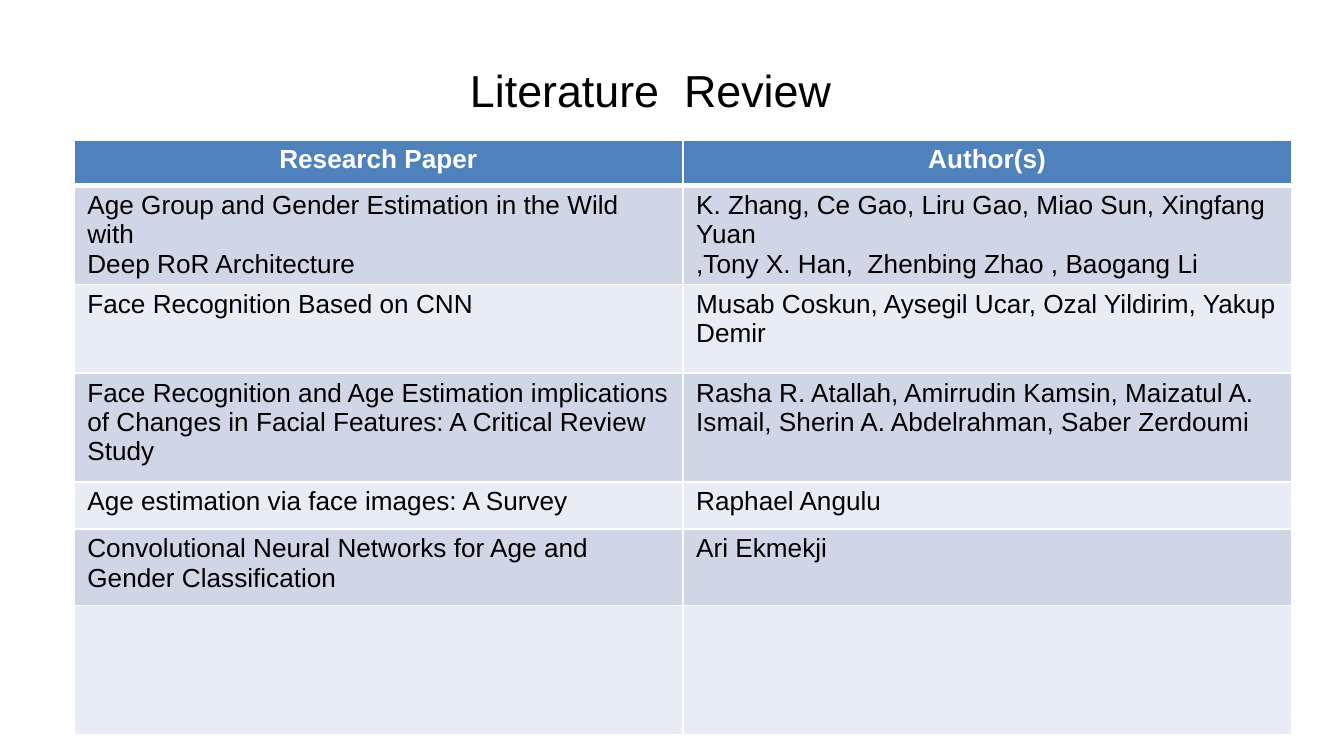
from lxml import etree
from pptx import Presentation
from pptx.dml.color import RGBColor
from pptx.enum.text import MSO_ANCHOR, PP_ALIGN
from pptx.oxml.ns import qn
from pptx.util import Inches, Pt

CENTER = PP_ALIGN.CENTER
LEFT = PP_ALIGN.LEFT
TOP = MSO_ANCHOR.TOP

WIDTH = 10
HEIGHT = WIDTH * 9 / 16
COLORS = {
    "text": "000000",
    "white": "FFFFFF",
    "header": "4F81BD",
    "band_dark": "CFD7E7",
    "band_light": "E8ECF4",
}
PAPERS = [
    ("Research Paper", "Author(s)"),
    (
        "Age Group and Gender Estimation in the Wild with\nDeep RoR Architecture",
        "K. Zhang, Ce Gao, Liru Gao, Miao Sun, Xingfang Yuan\n"
        ",Tony X. Han,  Zhenbing Zhao , Baogang Li",
    ),
    (
        "Face Recognition Based on CNN",
        "Musab Coskun, Aysegil Ucar, Ozal Yildirim, Yakup Demir",
    ),
    (
        "Face Recognition and Age Estimation implications of Changes in "
        "Facial Features: A Critical Review Study",
        "Rasha R. Atallah, Amirrudin Kamsin, Maizatul A. Ismail, "
        "Sherin A. Abdelrahman, Saber Zerdoumi",
    ),
    ("Age estimation via face images: A Survey", "Raphael Angulu"),
    (
        "Convolutional Neural Networks for Age and Gender Classification",
        "Ari Ekmekji",
    ),
    ("", ""),
]
ROW_HEIGHTS = [0.34, 0.63, 0.66, 0.81, 0.35, 0.57, 0.96]


class SlideBuilder:
    def __init__(self, slide, font="Arial"):
        self.slide = slide
        self.font = font

    def color(self, name):
        return RGBColor.from_string(COLORS[name])

    def box(self, left, top, width, height):
        return (
            Inches(left * WIDTH),
            Inches(top * HEIGHT),
            Inches(width * WIDTH),
            Inches(height * HEIGHT),
        )

    def style(self, text_frame, size, color, align, bold=False):
        for paragraph in text_frame.paragraphs:
            paragraph.alignment = align
            paragraph.font.size = Pt(size)
            for run in paragraph.runs:
                run.font.name = self.font
                run.font.size = Pt(size)
                run.font.bold = bold
                run.font.color.rgb = self.color(color)

    def title(self, text, left, top, width, height):
        shape = self.slide.shapes.add_textbox(*self.box(left, top, width, height))
        text_frame = shape.text_frame
        text_frame.word_wrap = True
        text_frame.vertical_anchor = TOP
        text_frame.text = text
        text_frame.paragraphs[0].line_spacing = 1.15
        self.style(text_frame, 24, "text", CENTER)

    def borders(self, cell, top, bottom):
        properties = cell._tc.get_or_add_tcPr()
        widths = {"a:lnL": 1, "a:lnR": 1, "a:lnT": top, "a:lnB": bottom}
        for index, (tag, points) in enumerate(widths.items()):
            line = etree.Element(qn(tag), w=str(Pt(points)))
            fill = etree.SubElement(line, qn("a:solidFill"))
            etree.SubElement(fill, qn("a:srgbClr"), val=COLORS["white"])
            properties.insert(index, line)

    def cell(self, cell, text, row):
        header = row == 0
        cell.margin_top = cell.margin_bottom = Inches(0.04)
        cell.text_frame.text = text
        self.style(
            cell.text_frame,
            14,
            "white" if header else "text",
            CENTER if header else LEFT,
            header,
        )
        band = "header" if header else ("band_light", "band_dark")[row % 2]
        cell.fill.solid()
        cell.fill.fore_color.rgb = self.color(band)
        self.borders(cell, 3 if row == 1 else 1, 3 if header else 1)

    def table(self, rows, heights, left, top, width):
        frame = self.slide.shapes.add_table(
            len(rows),
            len(rows[0]),
            *self.box(left, top, width, sum(heights) / HEIGHT),
        )
        table = frame.table
        for row, (texts, height) in enumerate(zip(rows, heights)):
            table.rows[row].height = Inches(height)
            for column, text in enumerate(texts):
                self.cell(table.cell(row, column), text, row)


def main():
    presentation = Presentation()
    presentation.slide_width = Inches(WIDTH)
    presentation.slide_height = Inches(HEIGHT)
    builder = SlideBuilder(presentation.slides.add_slide(presentation.slide_layouts[6]))
    builder.table(PAPERS, ROW_HEIGHTS, 0.055, 1.04 / HEIGHT, 0.906)
    builder.title("Literature  Review", 0.055, 0.36 / HEIGHT, 0.858, 0.3 / HEIGHT)
    presentation.save("out.pptx")


if __name__ == "__main__":
    main()
